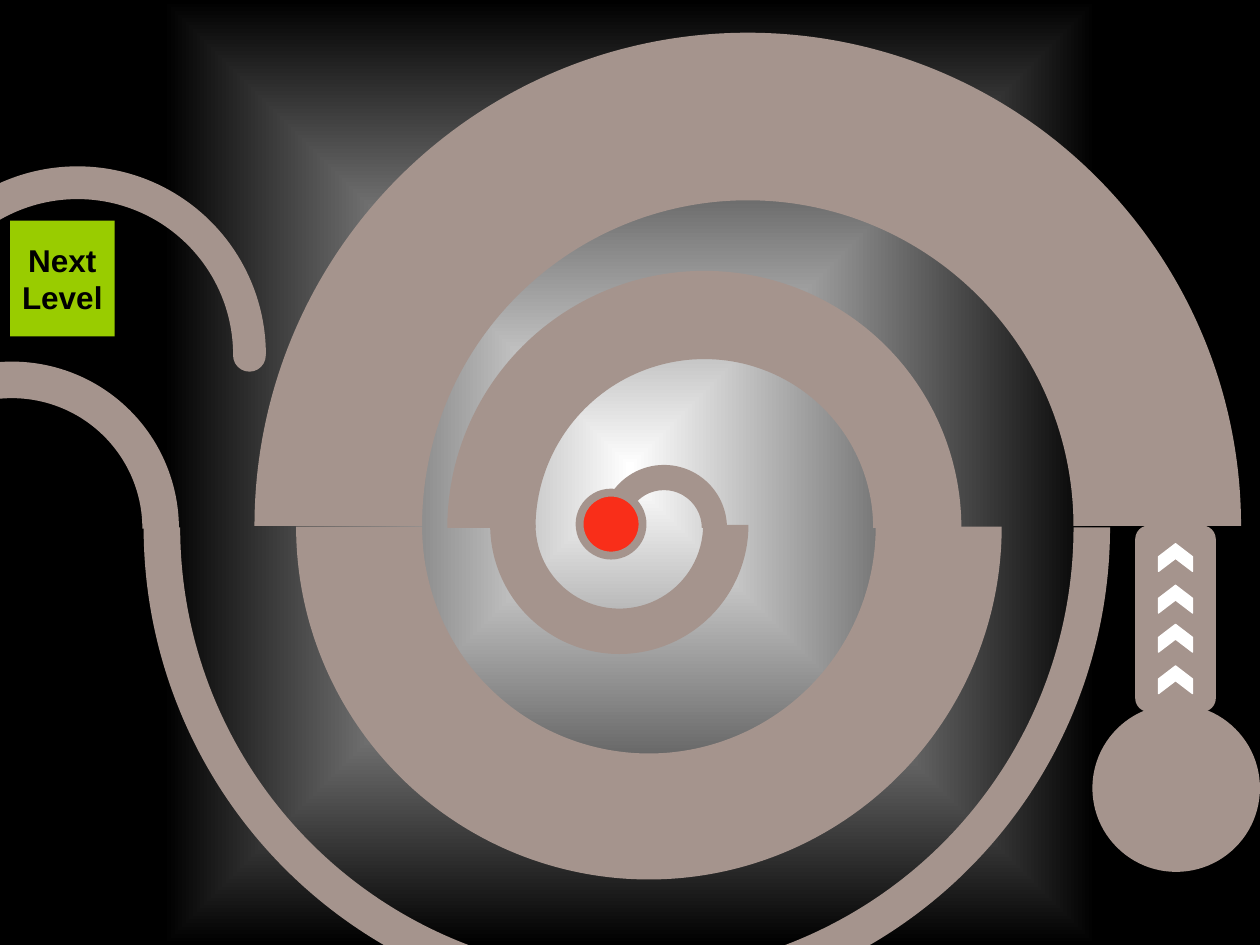
from lxml import etree
from pptx import Presentation
from pptx.dml.color import RGBColor
from pptx.enum.shapes import MSO_SHAPE as Shape
from pptx.enum.text import MSO_ANCHOR as Anchor, PP_ALIGN as Align
from pptx.oxml.ns import qn
from pptx.util import Inches, Pt

BLACK, WHITE = "000000", "FFFFFF"
TRACK, GOAL, BUTTON = "A5948D", "F92E19", "99CC00"
HALF_TURN = 108  # 180 degrees in the units of a block arc adjustment


def colour(code):
    return RGBColor.from_string(code)


def apply(target, values):
    """Set every named attribute of the target."""
    for name, value in values.items():
        setattr(target, name, value)


class Maze:
    label_font = {"name": "Arial", "size": Pt(18), "bold": True}
    label_frame = {"word_wrap": False, "vertical_anchor": Anchor.MIDDLE}

    def __init__(self, page):
        self.page = page

    def shape(self, kind, place, fill, line=None, width=0.75, turn=0, adjust=()):
        item = self.page.shapes.add_shape(kind, *map(Inches, place))
        item.shadow.inherit = False
        item.rotation = turn
        item.fill.solid()
        item.fill.fore_color.rgb = colour(fill)
        if line:
            item.line.color.rgb = colour(line)
            item.line.width = Pt(width)
        else:
            item.line.fill.background()
        for index, value in enumerate(adjust):
            item.adjustments[index] = value
        return item

    def glow(self, place, inner, outer):
        """Draw a rectangle that fades from its centre to its edges."""
        item = self.shape(Shape.RECTANGLE, place, inner)
        item.fill.gradient()
        for stop, code in zip(item.fill.gradient_stops, (inner, outer)):
            stop.color.rgb = colour(code)
        gradient = item._element.spPr.find(qn("a:gradFill"))
        gradient.remove(gradient.find(qn("a:lin")))
        path = etree.SubElement(gradient, qn("a:path"), path="shape")
        sides = dict.fromkeys("ltrb", "50000")
        etree.SubElement(path, qn("a:fillToRect"), **sides)

    def arc(self, left, top, size, band, turn=0):
        """Draw half a ring whose track is as wide as the band."""
        self.shape(Shape.BLOCK_ARC, (left, top, size, size), TRACK, turn=turn,
                   adjust=(HALF_TURN, 0, band / size))

    def disc(self, left, top, size, fill=TRACK, **style):
        self.shape(Shape.OVAL, (left, top, size, size), fill, **style)

    def button(self, place, lines):
        frame = self.shape(Shape.RECTANGLE, place, BUTTON).text_frame
        apply(frame, self.label_frame)
        for index, text in enumerate(lines):
            para = frame.add_paragraph() if index else frame.paragraphs[0]
            para.alignment = Align.CENTER
            span = para.add_run()
            span.text = text
            apply(span.font, self.label_font)
            span.font.color.rgb = colour(BLACK)

    def arrow(self, top):
        self.shape(Shape.CHEVRON, (9.22, top, 0.22, 0.27), WHITE, line=WHITE,
                   turn=270, adjust=(0.47,))


def main():
    deck = Presentation()
    apply(deck, {"slide_width": Inches(10), "slide_height": Inches(7.5)})
    maze = Maze(deck.slides.add_slide(deck.slide_layouts[6]))

    maze.shape(Shape.RECTANGLE, (-0.02, 0, 10.02, 7.5), BLACK, line=BLACK)
    maze.glow((1.3, 0, 7.4, 7.5), WHITE, BLACK)
    maze.shape(Shape.ROUNDED_RECTANGLE, (9.01, 4.17, 0.64, 1.48), TRACK,
               adjust=(0.17,))
    maze.button((0.08, 1.75, 0.83, 0.92), ("Next", "Level"))

    spiral = [
        (2.02, 0.26, 7.83, 1.33),
        (2.35, 1.38, 5.6, 1, 180),
        (3.55, 2.15, 4.08, 0.7),
        (3.89, 3.14, 2.05, 0.36, 180),
        (4.77, 3.69, 1, 0.2),
    ]
    for arc in spiral:
        maze.arc(*arc)
    maze.disc(8.67, 5.59, 1.33)
    maze.disc(4.6, 3.91, 0.5, GOAL, line=TRACK, width=4.5)

    way_out = [
        (1.14, 0.35, 7.67, 0.29, 180),
        (-0.88, 1.32, 2.99, 0.26),
        (-1.23, 2.87, 2.65, 0.29),
    ]
    for arc in way_out:
        maze.arc(*arc)
    maze.disc(1.85, 2.69, 0.26)

    for top in (4.93, 4.62, 4.29, 5.26):
        maze.arrow(top)
    deck.save("out.pptx")


if __name__ == "__main__":
    main()
